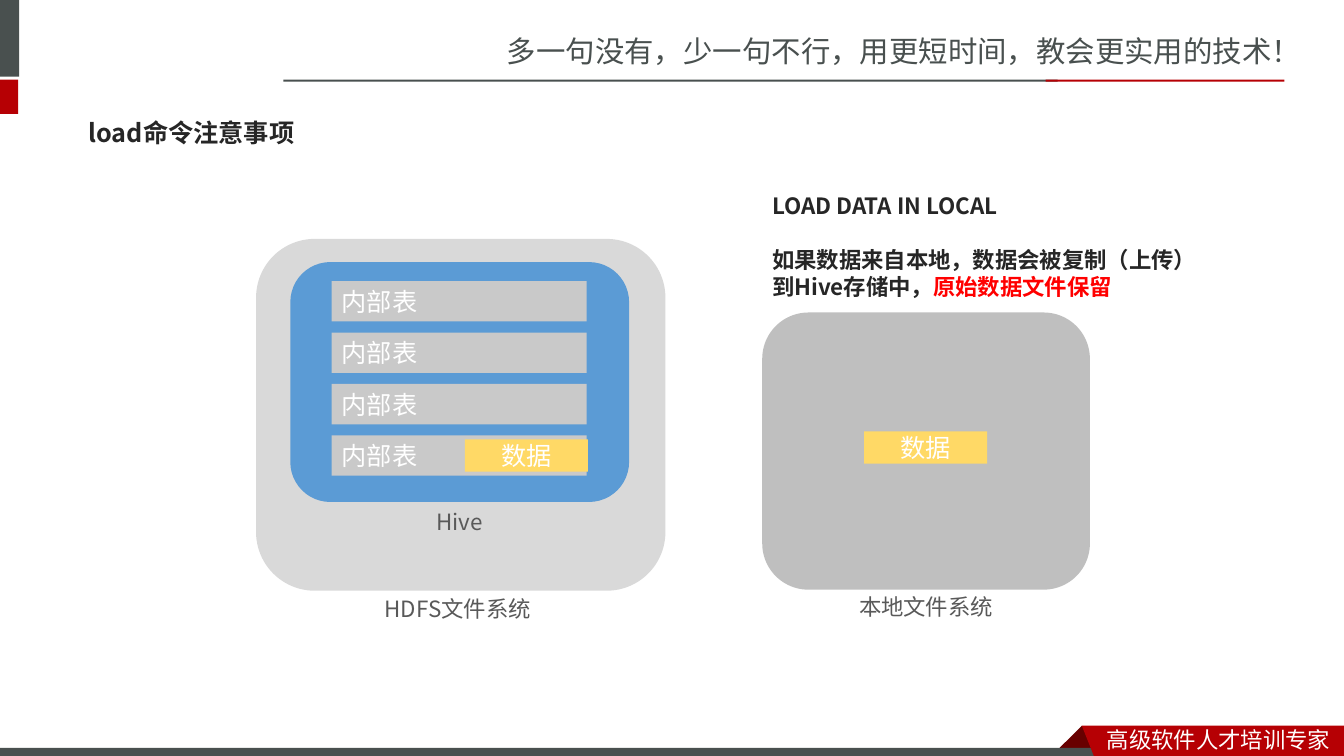
from lxml.etree import SubElement
from pptx import Presentation
from pptx.dml.color import RGBColor
from pptx.enum.shapes import MSO_SHAPE
from pptx.enum.text import MSO_ANCHOR, PP_ALIGN
from pptx.oxml.ns import qn
from pptx.util import Inches, Pt

COLS, ROWS = 133.3, 75  # square grid cells, ten to the inch
HUES = {
    "slate": "49504F", "red": "B60004", "maroon": "680000", "white": "FFFFFF",
    "ink": "262626", "label": "595959", "alert": "FF0000", "local": "BFBFBF",
    "hdfs": "D9D9D9", "hive": "5B9BD5", "table": "C9C9C9", "data": "FFD966",
}
SC, JP = "Noto Sans CJK SC", "Noto Sans CJK JP"
HEAD = {"size": Pt(21), "name": SC, "hue": "slate"}
FOOT = {"size": Pt(16), "name": SC, "hue": "white"}
TITLE = {"size": Pt(18), "name": JP, "hue": "ink", "bold": True}
LABEL = {"size": Pt(16), "name": JP, "hue": "label"}
CELL = {"size": Pt(18), "name": SC, "hue": "white"}
NOTE = {"size": Pt(16), "name": SC, "hue": "ink", "bold": True}
WARN = {**NOTE, "hue": "alert"}


def cell(count):
    return Inches(count / 10)


def tone(name):
    return RGBColor.from_string(HUES[name])


def paint(shape, hue):
    shape.shadow.inherit = False
    shape.fill.solid()
    shape.fill.fore_color.rgb = tone(hue)
    shape.line.fill.background()


def add_run(para, words, style):
    run = para.add_run()
    run.text = words
    for key, value in style.items():
        if key == "hue":
            run.font.color.rgb = tone(value)
        else:
            setattr(run.font, key, value)
    east = SubElement(run._r.get_or_add_rPr(), qn("a:ea"))
    east.set("typeface", style["name"])


def write(shape, lines, align=PP_ALIGN.LEFT, anchor=MSO_ANCHOR.TOP, gaps=()):
    """Each line is a list of (words, style); gaps lists lines set one line lower."""
    frame = shape.text_frame
    frame.word_wrap = True
    frame.vertical_anchor = anchor
    for row, runs in enumerate(lines):
        para = frame.add_paragraph() if row else frame.paragraphs[0]
        para.alignment = align
        pitch = Pt(runs[0][1]["size"].pt * 1.2)
        para.line_spacing = pitch
        if row in gaps:
            para.space_before = pitch
        for words, style in runs:
            add_run(para, words, style)


def add_box(slide, area, hue, kind=MSO_SHAPE.RECTANGLE):
    shape = slide.shapes.add_shape(kind, *map(cell, area))
    paint(shape, hue)
    return shape


def add_card(slide, area, hue):
    return add_box(slide, area, hue, MSO_SHAPE.ROUNDED_RECTANGLE)


def add_tag(slide, area, hue, words, align):
    write(add_box(slide, area, hue), [[(words, CELL)]], align, MSO_ANCHOR.MIDDLE)


def add_text(slide, area, lines, **layout):
    write(slide.shapes.add_textbox(*map(cell, area)), lines, **layout)


def add_poly(slide, points, hue):
    spots = [(cell(x), cell(y)) for x, y in points]
    pen = slide.shapes.build_freeform(*spots[0])
    pen.add_line_segments(spots[1:], close=True)
    paint(pen.convert_to_shape(), hue)


def add_frame(slide):
    # Header with side marks and rule
    add_text(slide, (49.3, 2.8, 84, 4.5),
             [[("多一句没有，少一句不行，用更短时间，教会更实用的技术！", HEAD)]])
    for area, hue in (((0, 0, 1.9, 7.6), "slate"), ((0, 7.9, 1.8, 3.4), "red"),
                      ((28.1, 7.9, 76.8, 0.2), "slate"),
                      ((103.7, 7.9, 23.7, 0.2), "red")):
        add_box(slide, area, hue)

    # Footer bar with folded ribbon
    add_poly(slide, [(107.3, 72), (109.5, 74.2), (109.4, 74.3),
                     (105.2, 74.3), (105.1, 74.2)], "maroon")
    add_box(slide, (0, 74.2, 109.8, ROWS - 74.2), "slate")
    add_poly(slide, [(107.3, 72), (COLS, 72), (COLS, ROWS), (108.5, ROWS)], "red")
    add_text(slide, (108.8, 71.5, 24.5, 3.7), [[("高级软件人才培训专家", FOOT)]])


def add_hdfs(slide):
    mid = PP_ALIGN.CENTER
    add_card(slide, (25.4, 23.7, 40.6, 34.9), "hdfs")
    add_text(slide, (35.4, 58.6, 20, 3.7), [[("HDFS文件系统", LABEL)]], align=mid)
    add_card(slide, (28.8, 26, 33.6, 23.8), "hive")
    add_text(slide, (33.7, 49.9, 23.8, 3.7), [[("Hive", LABEL)]], align=mid)
    for row in range(4):
        add_tag(slide, (32.9, 27.9 + row * 5.1, 25.3, 4), "table", "内部表",
                PP_ALIGN.LEFT)
    add_tag(slide, (46.1, 43.6, 12.2, 3.2), "data", "数据", mid)


def add_local(slide):
    mid = PP_ALIGN.CENTER
    add_card(slide, (75.6, 31, 32.5, 27.5), "local")
    add_tag(slide, (85.7, 42.8, 12.2, 3.2), "data", "数据", mid)
    add_text(slide, (80.2, 58.4, 23.3, 3.7), [[("本地文件系统", LABEL)]], align=mid)
    add_text(slide, (75.6, 18.6, 44.4, 11.8), [
        [("LOAD DATA IN LOCAL", NOTE)],
        [("如果数据来自本地，数据会被复制（上传）", NOTE)],
        [("到Hive存储中，", NOTE), ("原始数据文件保留", WARN)],
    ], gaps=(1,))


def main():
    deck = Presentation()
    deck.slide_width, deck.slide_height = cell(COLS), cell(ROWS)
    slide = deck.slides.add_slide(deck.slide_layouts[6])
    add_frame(slide)
    add_text(slide, (7.8, 10.3, 117, 5.7), [[("load命令注意事项", TITLE)]],
             anchor=MSO_ANCHOR.MIDDLE)
    add_hdfs(slide)
    add_local(slide)
    deck.save("out.pptx")


if __name__ == "__main__":
    main()
